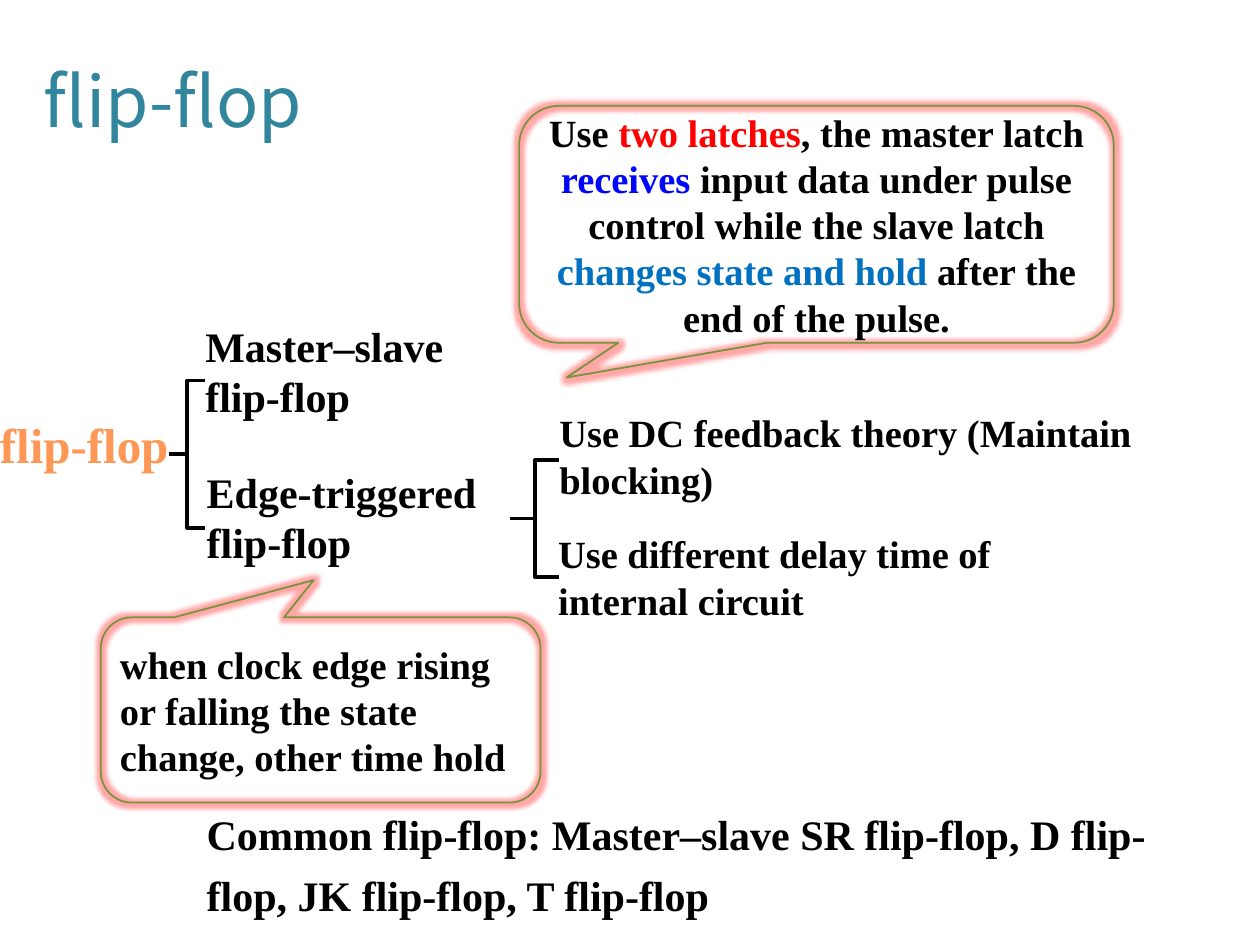
import pptx
import pptx.util
import pptx.dml.color
import pptx.enum.shapes
import pptx.enum.text
import pptx.oxml
from dataclasses import dataclass

Inches = pptx.util.Inches
Pt = pptx.util.Pt
RGB = pptx.dml.color.RGBColor.from_string
Shape = pptx.enum.shapes.MSO_SHAPE
Line = pptx.enum.shapes.MSO_CONNECTOR
Align = pptx.enum.text.PP_ALIGN
Anchor = pptx.enum.text.MSO_ANCHOR
NS = 'xmlns:a="http://schemas.openxmlformats.org/drawingml/2006/main"'


@dataclass(frozen=True)
class Theme:
    head: str = "Noto Sans CJK SC"
    body: str = "Times New Roman"
    teal: str = "31859C"
    orange: str = "FF9856"
    black: str = "000000"
    red: str = "FF0000"
    blue: str = "0006FA"
    sky: str = "0070C0"
    green: str = "77933C"
    title: int = 40
    root: int = 28
    kind: int = 24
    note: int = 22


T = Theme()


def write(shape, paras, size, color=T.black, face=T.body, bold=True,
          pad=(0, 0), anchor=Anchor.TOP, align=Align.LEFT, space=None):
    """Each paragraph is a string or a list of (text, color) runs."""
    frame = shape.text_frame
    frame.word_wrap = True
    frame.vertical_anchor = anchor
    frame.margin_left = frame.margin_right = Inches(pad[0])
    frame.margin_top = frame.margin_bottom = Inches(pad[1])
    for i, runs in enumerate(paras):
        para = frame.add_paragraph() if i else frame.paragraphs[0]
        para.alignment = align
        if space:
            para.line_spacing = space
        font = para.font
        font.name, font.size, font.bold = face, Pt(size), bold
        font.color.rgb = RGB(color)
        for text, tint in [(runs, color)] if isinstance(runs, str) else runs:
            run = para.add_run()
            run.text = text
            if tint != color:
                run.font.color.rgb = RGB(tint)


def label(slide, box, paras, size, **style):
    shape = slide.shapes.add_textbox(*map(Inches, box))
    write(shape, paras, size, **style)


def callout(slide, box, tip, paras, **style):
    """Outlined speech bubble with a soft red glow."""
    shape = slide.shapes.add_shape(Shape.ROUNDED_RECTANGULAR_CALLOUT,
                                   *map(Inches, box))
    for i, value in enumerate((*tip, 0.167)):
        shape.adjustments[i] = value
    shape.fill.background()
    shape.line.color.rgb = RGB(T.green)
    shape.line.width = Pt(1)
    shape.shadow.inherit = False
    effects = shape._element.spPr.find(pptx.oxml.ns.qn("a:effectLst"))
    effects.append(pptx.oxml.parse_xml(
        f'<a:glow {NS} rad="{Pt(5)}"><a:srgbClr val="{T.red}">'
        '<a:alpha val="35000"/></a:srgbClr></a:glow>'))
    write(shape, paras, T.note, anchor=Anchor.MIDDLE, **style)


def bracket(slide, box):
    """Two elbows from the middle of the left side to the right corners."""
    x, y, w, h = box
    for end in (y, y + h):
        elbow = slide.shapes.add_connector(
            Line.ELBOW, Inches(x), Inches(y + h / 2),
            Inches(x + w), Inches(end))
        elbow.line.color.rgb = RGB(T.black)
        elbow.line.width = Pt(2)
        elbow._element.spPr.append(
            pptx.oxml.parse_xml(f"<a:effectLst {NS}/>"))


def tree(slide, box):
    x, y = box[:2]
    # Root and the two kinds
    label(slide, (x, y + 0.75, 1.34, 0.94), ["flip-flop"], T.root,
          color=T.orange)
    label(slide, (x + 1.63, y, 2.48, 0.81),
          ["Master–slave", "flip-flop"], T.kind)
    label(slide, (x + 1.64, y + 1.16, 2.48, 0.81),
          ["Edge-triggered flip-flop"], T.kind)
    bracket(slide, (x + 1.34, y + 0.48, 0.29, 1.17))
    # Ways to build the edge-triggered kind
    label(slide, (x + 4.44, y + 0.71, 5.34, 0.77),
          ["Use DC feedback theory (Maintain blocking)"], T.note)
    label(slide, (x + 4.43, y + 1.67, 3.86, 0.74),
          ["Use different delay time of internal circuit"], T.note)
    bracket(slide, (x + 4.05, y + 1.11, 0.39, 0.93))


def main():
    deck = pptx.Presentation()
    deck.slide_width, deck.slide_height = Inches(10), Inches(7.5)
    slide = deck.slides.add_slide(deck.slide_layouts[6])

    # Title
    label(slide, (0.25, 0.27, 7.66, 1.04), ["flip-flop"], T.title,
          color=T.teal, face=T.head, bold=False, pad=(0.1, 0.05),
          anchor=Anchor.MIDDLE)

    tree(slide, (0, 2.54, 9.78, 2.41))

    # Explanations
    callout(slide, (4.12, 0.84, 4.72, 1.88), (-0.42, 0.647), [[
        ("Use ", T.black), ("two latches", T.red),
        (", the master latch ", T.black), ("receives ", T.blue),
        ("input data under pulse control while the slave latch ", T.black),
        ("changes state and hold ", T.sky),
        ("after the end of the pulse.", T.black)]], align=Align.CENTER)
    callout(slide, (0.8, 4.9, 3.49, 1.47), (-0.016, -0.701),
            ["when clock edge rising or falling the state change, "
             "other time hold"], pad=(0.08, 0.04))

    # Summary
    label(slide, (1.64, 6.34, 7.81, 0.93),
          ["Common flip-flop: Master–slave SR flip-flop, D flip-flop, "
           "JK flip-flop, T flip-flop"], T.kind, space=1.2)

    deck.save("out.pptx")


if __name__ == "__main__":
    main()
